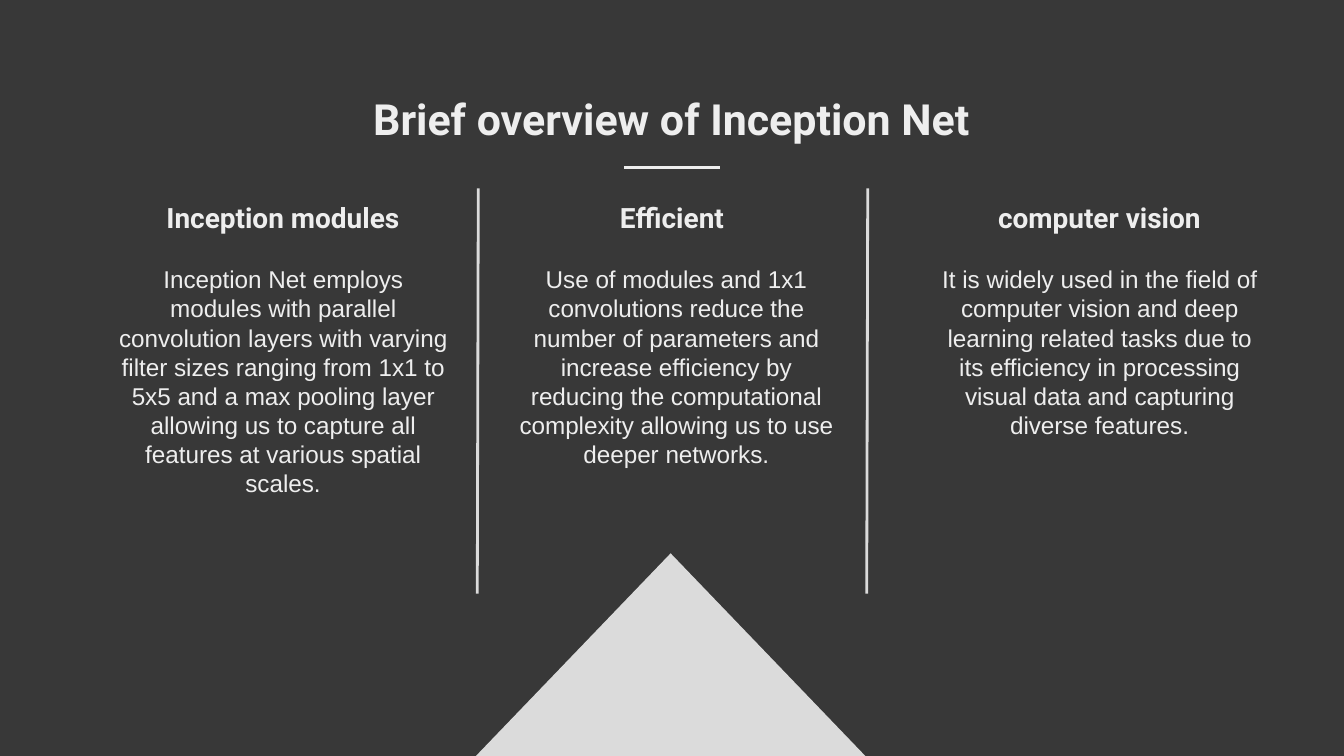
from dataclasses import dataclass

from lxml import etree
from pptx import Presentation
from pptx import util as u
from pptx.dml.color import RGBColor
from pptx.enum import shapes, text
from pptx.oxml.ns import qn

DARK = RGBColor(0x38, 0x38, 0x38)
SILVER = RGBColor(0xDB, 0xDB, 0xDB)
PALE = RGBColor(0xEE, 0xEE, 0xEE)

TITLE_FONT = {"name": "Roboto", "size": u.Pt(23), "bold": True}
HEADING_FONT = {"name": "Roboto", "size": u.Pt(15), "bold": True}
BODY_FONT = {"name": "Arial", "size": u.Pt(13), "bold": False}

TOP, MIDDLE = text.MSO_ANCHOR.TOP, text.MSO_ANCHOR.MIDDLE
BODY_WIDTH = 6.73


@dataclass
class Topic:
    heading: str
    body: str
    heading_center: float
    body_center: float


@dataclass
class Rule:
    start: tuple[float, float]
    end: tuple[float, float]
    color: RGBColor


TOPICS = [
    Topic("Inception modules",
          "Inception Net employs modules with parallel convolution layers with "
          "varying filter sizes ranging from 1x1 to 5x5 and a max pooling layer "
          "allowing us to capture all features at various spatial scales.",
          5.35, 5.35),
    Topic("Efficient",
          "Use of modules and 1x1 convolutions reduce the number of parameters "
          "and increase efficiency by reducing the computational complexity "
          "allowing us to use deeper networks.",
          12.7, 12.78),
    Topic("computer vision",
          "It is widely used in the field of computer vision and deep learning "
          "related tasks due to its efficiency in processing visual data and "
          "capturing diverse features.",
          20.78, 20.78),
]

RULES = [
    Rule((11.8, 3.16), (13.6, 3.16), PALE),
    Rule((9.04, 3.56), (9.02, 11.22), SILVER),
    Rule((16.4, 3.56), (16.38, 11.22), SILVER),
]


def add_label(slide, words: str, center: float, top: float, width: float,
              height: float, font: dict, anchor=TOP) -> None:
    """Centre one paragraph of text around a horizontal position."""
    box = slide.shapes.add_textbox(u.Cm(center - width / 2), u.Cm(top),
                                   u.Cm(width), u.Cm(height))
    frame = box.text_frame
    inset = u.Cm(0.25)
    layout = {"word_wrap": True, "vertical_anchor": anchor,
              "margin_left": inset, "margin_right": inset,
              "margin_top": inset, "margin_bottom": inset}
    for key, value in layout.items():
        setattr(frame, key, value)
    paragraph = frame.paragraphs[0]
    paragraph.alignment = text.PP_ALIGN.CENTER
    run = paragraph.add_run()
    run.text = words
    for key, value in font.items():
        setattr(run.font, key, value)
    run.font.color.rgb = PALE


def add_rule(slide, rule: Rule) -> None:
    line = slide.shapes.add_connector(
        shapes.MSO_CONNECTOR.STRAIGHT,
        *(u.Cm(length) for length in (*rule.start, *rule.end)))
    line.line.color.rgb = rule.color
    line.line.width = u.Pt(1.5)
    etree.SubElement(line._element.spPr, qn("a:effectLst"))


def add_peak(slide) -> None:
    peak = slide.shapes.add_shape(
        shapes.MSO_SHAPE.ISOSCELES_TRIANGLE,
        u.Cm(8.89), u.Cm(10.46), u.Cm(7.57), u.Cm(3.94))
    peak.shadow.inherit = False
    peak.fill.solid()
    peak.fill.fore_color.rgb = SILVER
    peak.line.fill.background()


def main() -> None:
    deck = Presentation()
    deck.slide_width, deck.slide_height = u.Cm(25.4), u.Cm(14.29)
    slide = deck.slides.add_slide(deck.slide_layouts[6])
    slide.background.fill.solid()
    slide.background.fill.fore_color.rgb = DARK

    # Triangle at the foot
    add_peak(slide)

    # Title
    add_label(slide, "Brief overview of Inception Net",
              12.7, 1.5, 15.06, 1.47, TITLE_FONT)

    # Three columns
    for topic in TOPICS:
        add_label(slide, topic.heading, topic.heading_center, 3.53,
                  6.1, 1.14, HEADING_FONT, MIDDLE)
        add_label(slide, topic.body, topic.body_center, 4.75,
                  BODY_WIDTH, 2.08, BODY_FONT)

    # Title underline and column dividers
    for rule in RULES:
        add_rule(slide, rule)

    deck.save("out.pptx")


if __name__ == "__main__":
    main()
